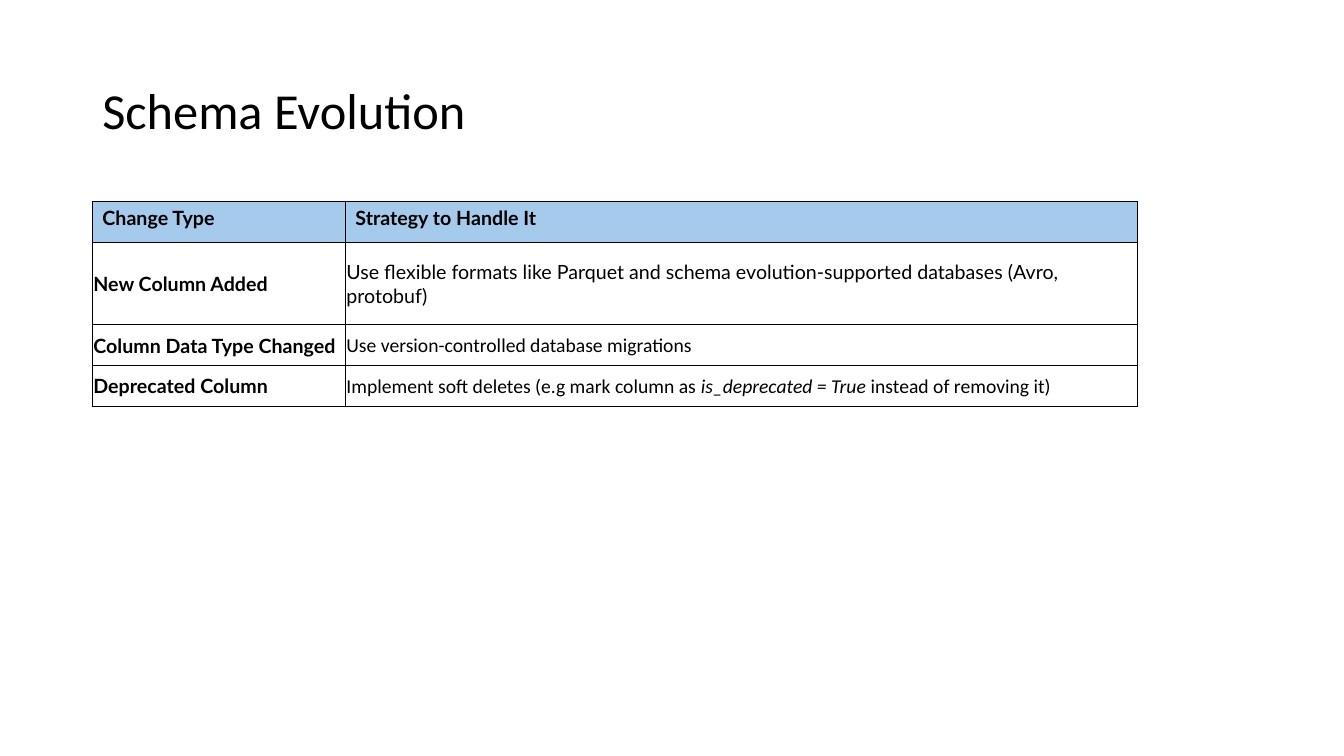
from dataclasses import dataclass

from lxml.etree import SubElement
from pptx import Presentation
from pptx.dml.color import RGBColor
from pptx.enum.text import MSO_ANCHOR as Anchor
from pptx.oxml.ns import qn
from pptx.util import Inches, Pt


@dataclass(frozen=True)
class Theme:
    ink: str = "000000"
    header: str = "A6CAEC"
    title_font: str = "Calibri"
    table_font: str = "Lato"
    title_size: int = 36
    table_size: int = 14
    border_width: int = 1


class Deck:
    """Draws on a grid of 160 columns by 90 rows, given a theme."""

    COLS, ROWS = 160, 90

    def __init__(self, theme):
        self.theme = theme
        self.prs = Presentation()
        self.prs.slide_width, self.prs.slide_height = Inches(13.33), Inches(7.5)
        self.slide = self.prs.slides.add_slide(self.prs.slide_layouts[6])

    def x(self, cols):
        return round(self.prs.slide_width * cols / self.COLS)

    def y(self, rows):
        return round(self.prs.slide_height * rows / self.ROWS)

    def style(self, r, font, size, bold=False, italic=False):
        r.font.name, r.font.size = font, Pt(size)
        r.font.bold, r.font.italic = bold, italic
        r.font.color.rgb = RGBColor.from_string(self.theme.ink)

    def title(self, text, left, top, width, height):
        box = self.slide.shapes.add_textbox(
            self.x(left), self.y(top), self.x(width), self.y(height))
        tf = box.text_frame
        tf.word_wrap = True
        tf.vertical_anchor = Anchor.MIDDLE
        tf.text = text
        p = tf.paragraphs[0]
        p.line_spacing = 0.9
        self.style(p.runs[0], self.theme.title_font, self.theme.title_size)

    def border(self, cell):
        tc_pr = cell._tc.get_or_add_tcPr()
        for i, side in enumerate(("lnL", "lnR", "lnT", "lnB")):
            ln = tc_pr.makeelement(
                qn(f"a:{side}"), {"w": str(Pt(self.theme.border_width))})
            fill = SubElement(ln, qn("a:solidFill"))
            SubElement(fill, qn("a:srgbClr"), val=self.theme.ink)
            tc_pr.insert(i, ln)

    def cell(self, cell, parts, font, bold, header):
        """Fill a cell with parts, of which every second one is italic."""
        if header:
            cell.fill.solid()
            cell.fill.fore_color.rgb = RGBColor.from_string(self.theme.header)
        else:
            cell.fill.background()
            cell.vertical_anchor = Anchor.MIDDLE
            cell.margin_left = cell.margin_right = cell.margin_top = Inches(0.01)
            cell.margin_bottom = 0
        self.border(cell)
        p = cell.text_frame.paragraphs[0]
        for i, part in enumerate(parts):
            r = p.add_run()
            r.text = part
            self.style(r, font, self.theme.table_size, bold, i % 2 == 1)

    def table(self, left, top, widths, heights, header, body):
        """Each body row is a label, the parts of its text and their font."""
        table = self.slide.shapes.add_table(
            len(heights), len(widths), self.x(left), self.y(top),
            self.x(sum(widths)), self.y(sum(heights))).table
        for column, width in zip(table.columns, widths):
            column.width = self.x(width)
        for row, height in zip(table.rows, heights):
            row.height = self.y(height)
        label_font = self.theme.table_font
        for c, text in enumerate(header):
            self.cell(table.cell(0, c), [text], label_font, True, True)
        for n, (label, parts, font) in enumerate(body, 1):
            self.cell(table.cell(n, 0), [label], label_font, True, False)
            self.cell(table.cell(n, 1), parts, font, False, False)


def main():
    theme = Theme()
    deck = Deck(theme)
    left = 11
    deck.title("Schema Evolution", left, 4.8, 138, 17.4)
    line = 4.88
    deck.table(
        left, 24, [30.12, 94.32], [line, 2 * line, line, line],
        ["Change Type", "Strategy to Handle It"],
        [
            ("New Column Added",
             ["Use flexible formats like Parquet and schema "
              "evolution-supported databases (Avro, protobuf)"],
             theme.table_font),
            ("Column Data Type Changed",
             ["Use version-controlled database migrations"],
             theme.title_font),
            ("Deprecated Column",
             ["Implement soft deletes (e.g mark column as ",
              "is_deprecated = True ", "instead of removing it)"],
             theme.title_font),
        ])
    deck.prs.save("out.pptx")


if __name__ == "__main__":
    main()
